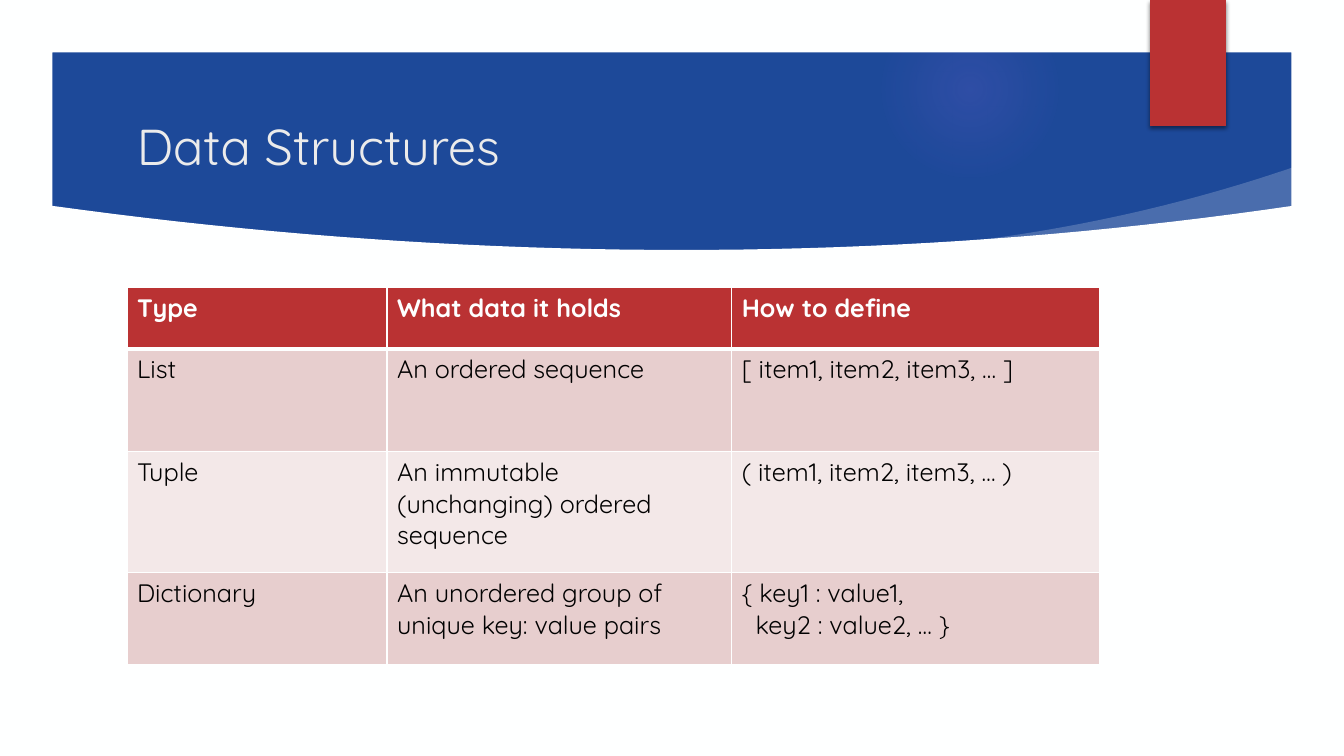
from dataclasses import dataclass

from lxml import etree
from pptx import Presentation
from pptx import util as u
from pptx.dml.color import RGBColor
from pptx.enum import shapes, text
from pptx.oxml import parse_xml
from pptx.oxml.ns import nsdecls, qn

WHITE = RGBColor(0xFE, 0xFF, 0xFF)
BLUE = RGBColor(0x1D, 0x49, 0x99)
RED = RGBColor(0xBA, 0x32, 0x33)
PURPLE = RGBColor(0x9B, 0x6B, 0xF2)
TITLE_GREY = RGBColor(0xEB, 0xEB, 0xEB)
INK = RGBColor(0x01, 0x01, 0x01)
ROSE = RGBColor(0xE7, 0xCE, 0xCE)
PALE_ROSE = RGBColor(0xF3, 0xE8, 0xE8)

W, H = u.Inches(13.333), u.Inches(7.5)
FONT = "Quicksand"
TITLE = {"name": FONT, "size": u.Pt(36)}
HEADER = {"name": FONT, "size": u.Pt(18), "bold": True}
BODY = {"name": FONT, "size": u.Pt(18), "bold": False}

Point = tuple[float, float]


@dataclass
class Box:
    """A place on the slide, in percent of its width and height."""
    left: float
    top: float
    width: float
    height: float

    def emu(self) -> tuple:
        return x(self.left), y(self.top), x(self.width), y(self.height)


@dataclass
class Row:
    height: float
    fill: RGBColor
    color: RGBColor
    font: dict
    cells: tuple[str, ...]


PANEL = Box(0, 0, 100, 100)
GLOW = Box(65.62, 0.13, 13.12, 23.33)
RIBBON = Box(85.58, 0, 5.63, 16.67)
TITLE_BOX = Box(9.45, 14.13, 71.85, 10.27)
TABLE = Box(9.45, 38, 72.38, 49.86)
COLUMNS = (19.35, 25.65, 27.38)
ROWS = (
    Row(8.13, RED, WHITE, HEADER, ("Type", "What data it holds", "How to define")),
    Row(13.6, ROSE, INK, BODY, ("List", "An ordered sequence", "[ item1, item2, item3, … ]")),
    Row(16, PALE_ROSE, INK, BODY, ("Tuple", "An immutable (unchanging) ordered sequence",
                                   "( item1, item2, item3, … )")),
    Row(12.13, ROSE, INK, BODY, ("Dictionary", "An unordered group of unique key: value pairs",
                                 "{ key1 : value1,\n  key2 : value2, … }")),
)


def x(share: float) -> int:
    return round(W * share / 100)


def y(share: float) -> int:
    return round(H * share / 100)


def curve(a: Point, control: Point, b: Point, steps: int = 40) -> list[Point]:
    """Points along a quadratic curve from a to b."""
    ts = [i / steps for i in range(steps + 1)]
    return [tuple((1 - t) ** 2 * p + 2 * t * (1 - t) * c + t * t * q
                  for p, c, q in zip(a, control, b)) for t in ts]


def paint(sp, color: RGBColor):
    sp.shadow.inherit = False
    sp.fill.solid()
    sp.fill.fore_color.rgb = color
    sp.line.fill.background()
    return sp


def add_box(slide, kind, box: Box, color: RGBColor):
    return paint(slide.shapes.add_shape(kind, *box.emu()), color)


def add_outline(slide, contours: list[list[Point]], color: RGBColor):
    """Draw one freeform; a second contour cuts a hole."""
    scaled = [[(x(px), y(py)) for px, py in contour] for contour in contours]
    fb = slide.shapes.build_freeform(*scaled[0][0])
    fb.add_line_segments(scaled[0][1:], close=True)
    for contour in scaled[1:]:
        fb.move_to(*contour[0])
        fb.add_line_segments(contour[1:], close=True)
    return paint(fb.convert_to_shape(), color)


def set_glow(sp, color: RGBColor, stops: dict[int, int]) -> None:
    """Radial gradient; stops map position to opacity, in percent."""
    gs = "".join(f'<a:gs pos="{pos * 1000}"><a:srgbClr val="{color}">'
                 f'<a:alpha val="{alpha * 1000}"/></a:srgbClr></a:gs>'
                 for pos, alpha in stops.items())
    grad = parse_xml(f'<a:gradFill {nsdecls("a")} rotWithShape="1"><a:gsLst>{gs}</a:gsLst>'
                     '<a:path path="circle"><a:fillToRect l="50000" t="50000" r="50000" '
                     'b="50000"/></a:path></a:gradFill>')
    spPr = sp.element.spPr
    spPr.replace(spPr.find(qn("a:solidFill")), grad)


def set_opacity(sp, percent: int) -> None:
    clr = sp.element.spPr.find(qn("a:solidFill"))[0]
    etree.SubElement(clr, qn("a:alpha")).set("val", str(percent * 1000))


def drop_shadow(sp) -> None:
    effects = sp.element.spPr.find(qn("a:effectLst"))
    effects.append(parse_xml(
        f'<a:outerShdw {nsdecls("a")} blurRad="38100" dist="25400" dir="5400000" '
        'rotWithShape="0"><a:srgbClr val="000000"><a:alpha val="45000"/></a:srgbClr>'
        '</a:outerShdw>'))


def write(tf, content: str, font: dict, color: RGBColor) -> None:
    for i, line in enumerate(content.split("\n")):
        p = tf.add_paragraph() if i else tf.paragraphs[0]
        r = p.add_run()
        r.text = line
        for name, value in font.items():
            setattr(r.font, name, value)
        r.font.color.rgb = color


def set_borders(cell, points: dict[str, int]) -> None:
    tcPr = cell._tc.get_or_add_tcPr()
    for side, width in points.items():
        tcPr.append(parse_xml(
            f'<a:ln{side} {nsdecls("a")} w="{u.Pt(width)}"><a:solidFill>'
            f'<a:srgbClr val="{WHITE}"/></a:solidFill></a:ln{side}>'))


def add_banner(slide) -> None:
    add_box(slide, shapes.MSO_SHAPE.RECTANGLE, PANEL, BLUE)
    glow = add_box(slide, shapes.MSO_SHAPE.OVAL, GLOW, PURPLE)
    set_glow(glow, PURPLE, {0: 14, 36: 7, 73: 0, 100: 0})
    swoosh = curve((69.75, 32.4), (83.48, 29.87), (96.22, 22.13))
    set_opacity(add_outline(slide, [swoosh + [(96.3, 28.53), (70.05, 33.33)]], WHITE), 20)
    edge = curve((3.75, 27.2), (51.4, 38.93), (96.3, 27.2))
    add_outline(slide, [edge + [(96.3, 93.33), (3.75, 93.33)]], WHITE)
    outer = [(0, 0), (0, 100), (100, 100), (100, 0)]
    opening = [(96.08, 93.07), (3.9, 93.07), (3.9, 6.93), (96.08, 6.93)]
    add_outline(slide, [outer, opening], WHITE)
    drop_shadow(add_box(slide, shapes.MSO_SHAPE.RECTANGLE, RIBBON, RED))


def add_title(slide) -> None:
    tf = slide.shapes.add_textbox(*TITLE_BOX.emu()).text_frame
    tf.word_wrap = True
    tf.vertical_anchor = text.MSO_ANCHOR.MIDDLE
    write(tf, "Data Structures", TITLE, TITLE_GREY)


def add_structures_table(slide) -> None:
    table = slide.shapes.add_table(len(ROWS), len(COLUMNS), *TABLE.emu()).table
    for column, width in zip(table.columns, COLUMNS):
        column.width = x(width)
    for i, row in enumerate(ROWS):
        table.rows[i].height = y(row.height)
        for j, content in enumerate(row.cells):
            cell = table.cell(i, j)
            set_borders(cell, {"L": 1, "R": 1, "T": 3 if i == 1 else 1, "B": 1 if i else 3})
            cell.fill.solid()
            cell.fill.fore_color.rgb = row.fill
            write(cell.text_frame, content, row.font, row.color)


def main() -> None:
    prs = Presentation()
    prs.slide_width, prs.slide_height = W, H
    slide = prs.slides.add_slide(prs.slide_layouts[6])
    slide.background.fill.solid()
    slide.background.fill.fore_color.rgb = WHITE
    add_banner(slide)
    add_title(slide)
    add_structures_table(slide)
    prs.save("out.pptx")


if __name__ == "__main__":
    main()
